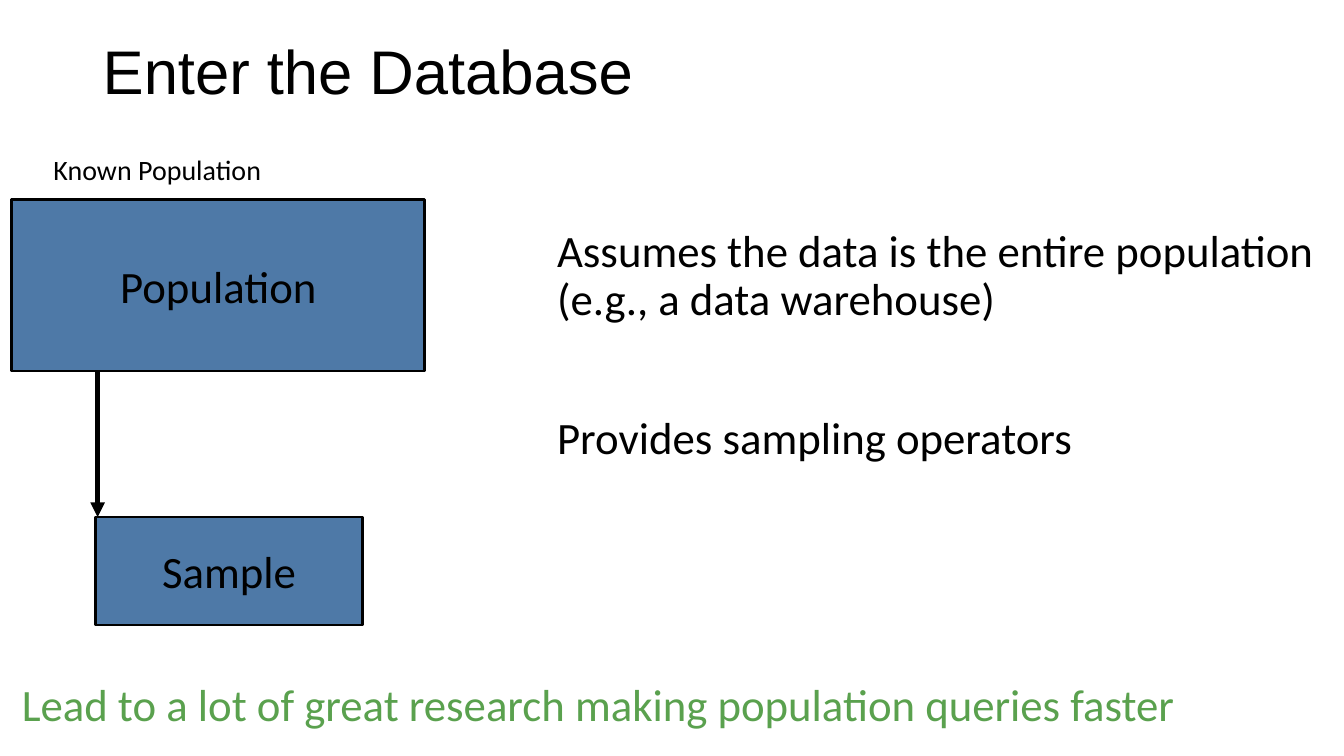
import pptx
import pptx.dml.color
import pptx.enum.shapes
import pptx.enum.text
import pptx.oxml
import pptx.oxml.ns
import pptx.util
from pptx.util import Cm

BLACK = pptx.dml.color.RGBColor(0x00, 0x00, 0x00)
BLUE = pptx.dml.color.RGBColor(0x4E, 0x79, 0xA7)
GREEN = pptx.dml.color.RGBColor(0x5A, 0xA1, 0x4E)
ALIGN = pptx.enum.text.PP_ALIGN
ANCHOR = pptx.enum.text.MSO_ANCHOR


def write_text(shape, text, anchor, font_format, paragraph_format):
    frame = shape.text_frame
    frame.word_wrap = True
    frame.vertical_anchor = anchor
    paragraph = frame.paragraphs[0]
    run = paragraph.add_run()
    run.text = text
    for name, value in paragraph_format.items():
        setattr(paragraph, name, value)
    for name, value in font_format.items():
        if name == "color":
            run.font.color.rgb = value
        else:
            setattr(run.font, name, value)


presentation = pptx.Presentation()
presentation.slide_width = Cm(33.87)
presentation.slide_height = Cm(19.05)
slide = presentation.slides.add_slide(presentation.slide_layouts[6])

body_font = {"name": "Calibri", "size": pptx.util.Pt(32), "color": BLACK}
title_font = {"name": "Arial", "size": pptx.util.Pt(44), "color": BLACK}
label_font = body_font | {"size": pptx.util.Pt(20)}
conclusion_font = body_font | {"color": GREEN}
centred = {"alignment": ALIGN.CENTER}
tight = {"alignment": ALIGN.LEFT, "line_spacing": 0.9}

# Population and sample boxes
boxes = [
    ("Population", 0.3, 5.03, 10.41, 4.32),
    ("Sample", 2.41, 13.03, 6.73, 2.72),
]
for text, left, top, width, height in boxes:
    box = slide.shapes.add_shape(
        pptx.enum.shapes.MSO_SHAPE.RECTANGLE, Cm(left), Cm(top), Cm(width), Cm(height))
    box.shadow.inherit = False
    box.fill.solid()
    box.fill.fore_color.rgb = BLUE
    box.line.color.rgb = BLACK
    box.line.width = pptx.util.Pt(2)
    write_text(box, text, ANCHOR.MIDDLE, body_font, centred)

# Arrow from population to sample
arrow = slide.shapes.add_connector(
    pptx.enum.shapes.MSO_CONNECTOR.STRAIGHT, Cm(2.46), Cm(9.35), Cm(2.46), Cm(13.03))
arrow.line.color.rgb = BLACK
arrow.line.width = pptx.util.Pt(3.5)
tail = pptx.oxml.parse_xml(
    f'<a:tailEnd {pptx.oxml.ns.nsdecls("a")} type="triangle"/>')
arrow.line._get_or_add_ln().append(tail)
arrow.element.spPr.append(
    pptx.oxml.parse_xml(f'<a:effectLst {pptx.oxml.ns.nsdecls("a")}/>'))

# Title, label, statements and conclusion
texts = [
    ("Enter the Database", 2.34, 0.03, 29.21, 3.68, ANCHOR.MIDDLE, title_font, tight),
    ("Known Population", 1.07, 3.71, 5.79, 1.12, ANCHOR.TOP, label_font, centred),
    ("Assumes the data is the entire population (e.g., a data warehouse)",
     13.79, 5.64, 19.76, 3.12, ANCHOR.TOP, body_font, tight),
    ("Provides sampling operators",
     13.79, 10.36, 19.76, 1.68, ANCHOR.TOP, body_font, tight),
    ("Lead to a lot of great research making population queries faster",
     0.3, 17.07, 33.27, 1.63, ANCHOR.TOP, conclusion_font, tight),
]
for text, left, top, width, height, anchor, font_format, paragraph_format in texts:
    text_box = slide.shapes.add_textbox(Cm(left), Cm(top), Cm(width), Cm(height))
    write_text(text_box, text, anchor, font_format, paragraph_format)

presentation.save("out.pptx")
